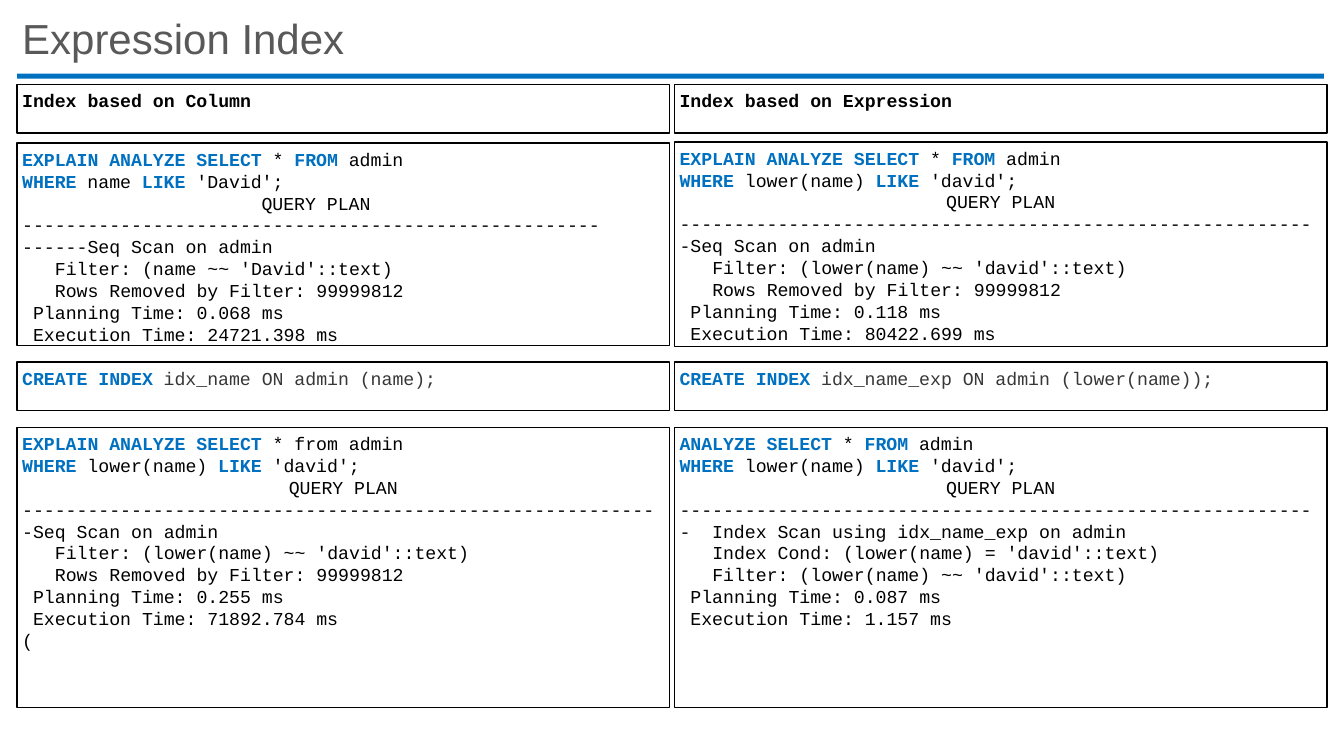
from pptx import Presentation
from pptx import util as u
from pptx.dml.color import RGBColor
from pptx.enum import shapes, text

COLORS = {"blue": "0070C0", "black": "000000", "grey": "373737", "title": "595959"}
CODE_FONT = "Courier New"
CODE_SIZE = 13
CHAR_WIDTH = 0.6 * CODE_SIZE / 72  # inches per monospaced character
RULE = "-" * 59
BOX_WIDTH = 6.47
FRAME = {"word_wrap": True, "auto_size": text.MSO_AUTO_SIZE.NONE,
         **{f"margin_{side}": u.Inches(0.05) for side in ("left", "right", "top", "bottom")}}


def rgb(name):
    return RGBColor.from_string(COLORS[name])


def apply(obj, formats):
    for name, value in formats.items():
        setattr(obj, name, value)


def add_run(p, content, color, bold=False, font=CODE_FONT, size=CODE_SIZE):
    r = p.add_run()
    r.text = content
    apply(r.font, {"name": font, "size": u.Pt(size), "bold": bold})
    r.font.color.rgb = rgb(color)


def add_title(slide, left, top, width, height):
    title = slide.shapes.title
    apply(title, {"left": u.Inches(left), "top": u.Inches(top),
                  "width": u.Inches(width), "height": u.Inches(height)})
    tf = title.text_frame
    apply(tf, {**FRAME, "vertical_anchor": text.MSO_ANCHOR.MIDDLE})
    p = tf.paragraphs[0]
    apply(p, {"alignment": text.PP_ALIGN.LEFT, "line_spacing": 0.9})
    add_run(p, "Expression Index", "title", font="Arial", size=30)


def add_rect(slide, left, top, width, height):
    sp = slide.shapes.add_shape(shapes.MSO_SHAPE.RECTANGLE,
                                *map(u.Inches, (left, top, width, height)))
    sp.shadow.inherit = False
    return sp


def add_bar(slide, left, top, width, height):
    bar = add_rect(slide, left, top, width, height)
    bar.fill.solid()
    bar.fill.fore_color.rgb = rgb("blue")
    bar.line.fill.background()


def add_panel(slide, left, top, height):
    """Add an outlined box and return its text frame."""
    sp = add_rect(slide, left, top, BOX_WIDTH, height)
    sp.fill.background()
    sp.line.color.rgb = rgb("black")
    sp.line.width = u.Pt(1)
    tf = sp.text_frame
    apply(tf, {**FRAME, "vertical_anchor": text.MSO_ANCHOR.TOP})
    tf.paragraphs[0].alignment = text.PP_ALIGN.LEFT
    return tf


def add_label(slide, left, top, height, runs):
    p = add_panel(slide, left, top, height).paragraphs[0]
    p.space_before = u.Pt(10)
    for run in runs:
        add_run(p, *run)


def add_plan(slide, left, top, height, query, scan, details, times, heading_inset=0, tail=()):
    """Query lines alternate keywords and plain text, split by a bar."""
    tf = add_panel(slide, left, top, height)
    lines = [(line, 0) for line in (*query, "|QUERY PLAN", "|" + RULE + scan)]
    lines += [("|" + line, 3) for line in details]
    lines += [("|" + line, 1) for line in times]
    lines += [("|" + line, 0) for line in tail]
    for i, (line, indent) in enumerate(lines):
        p = tf.add_paragraph() if i else tf.paragraphs[0]
        p.alignment = text.PP_ALIGN.LEFT
        if indent:
            p._p.get_or_add_pPr().set("marL", str(u.Inches(indent * CHAR_WIDTH)))
        if line == "|QUERY PLAN":
            p.alignment = text.PP_ALIGN.CENTER
            p._p.get_or_add_pPr().set("marR", str(u.Inches(heading_inset * CHAR_WIDTH)))
        for j, part in enumerate(line.split("|")):
            if part:
                keyword = j % 2 == 0
                add_run(p, part, "blue" if keyword else "black", keyword)


def add_column(slide, left, heading, index, before, after):
    add_label(slide, left, 0.84, 0.48, [(heading, "black", True)])
    add_plan(slide, left, **before)
    add_label(slide, left, 3.59, 0.48, [("CREATE INDEX ", "blue", True), (index, "grey")])
    add_plan(slide, left, 4.24, 2.78, **after)


def times(planning, execution):
    return [f"Planning Time: {planning} ms", f"Execution Time: {execution} ms"]


SELECT = "EXPLAIN ANALYZE SELECT| * |FROM| admin"
LOWER_WHERE = "WHERE| lower(name) |LIKE| 'david';"
LOWER_FILTER = "Filter: (lower(name) ~~ 'david'::text)"
REMOVED = "Rows Removed by Filter: 99999812"
SEQ_SCAN = "Seq Scan on admin"

COLUMNS = [
    {"left": 0.17, "heading": "Index based on Column", "index": "idx_name ON admin (name);",
     "before": {"top": 1.42, "height": 2.01,
                "query": [SELECT, "WHERE| name |LIKE| 'David';"], "scan": SEQ_SCAN,
                "details": ["Filter: (name ~~ 'David'::text)", REMOVED],
                "times": times("0.068", "24721.398"), "heading_inset": 5},
     "after": {"query": ["EXPLAIN ANALYZE SELECT| * from admin", LOWER_WHERE],
               "scan": SEQ_SCAN, "details": [LOWER_FILTER, REMOVED],
               "times": times("0.255", "71892.784"), "tail": ["("]}},
    {"left": 6.69, "heading": "Index based on Expression",
     "index": "idx_name_exp ON admin (lower(name));",
     "before": {"top": 1.41, "height": 2.03, "query": [SELECT, LOWER_WHERE],
                "scan": SEQ_SCAN, "details": [LOWER_FILTER, REMOVED],
                "times": times("0.118", "80422.699")},
     "after": {"query": ["ANALYZE SELECT| * |FROM| admin", LOWER_WHERE],
               "scan": "  Index Scan using idx_name_exp on admin",
               "details": ["Index Cond: (lower(name) = 'david'::text)", LOWER_FILTER],
               "times": times("0.087", "1.157")}},
]


def main():
    prs = Presentation()
    apply(prs, {"slide_width": u.Inches(13.33), "slide_height": u.Inches(7.5)})
    slide = prs.slides.add_slide(prs.slide_layouts[5])
    add_bar(slide, 0.17, 0.73, 12.96, 0.05)
    add_title(slide, 0.17, 0.15, 12.96, 0.52)
    for column in COLUMNS:
        add_column(slide, **column)
    prs.save("out.pptx")


if __name__ == "__main__":
    main()
